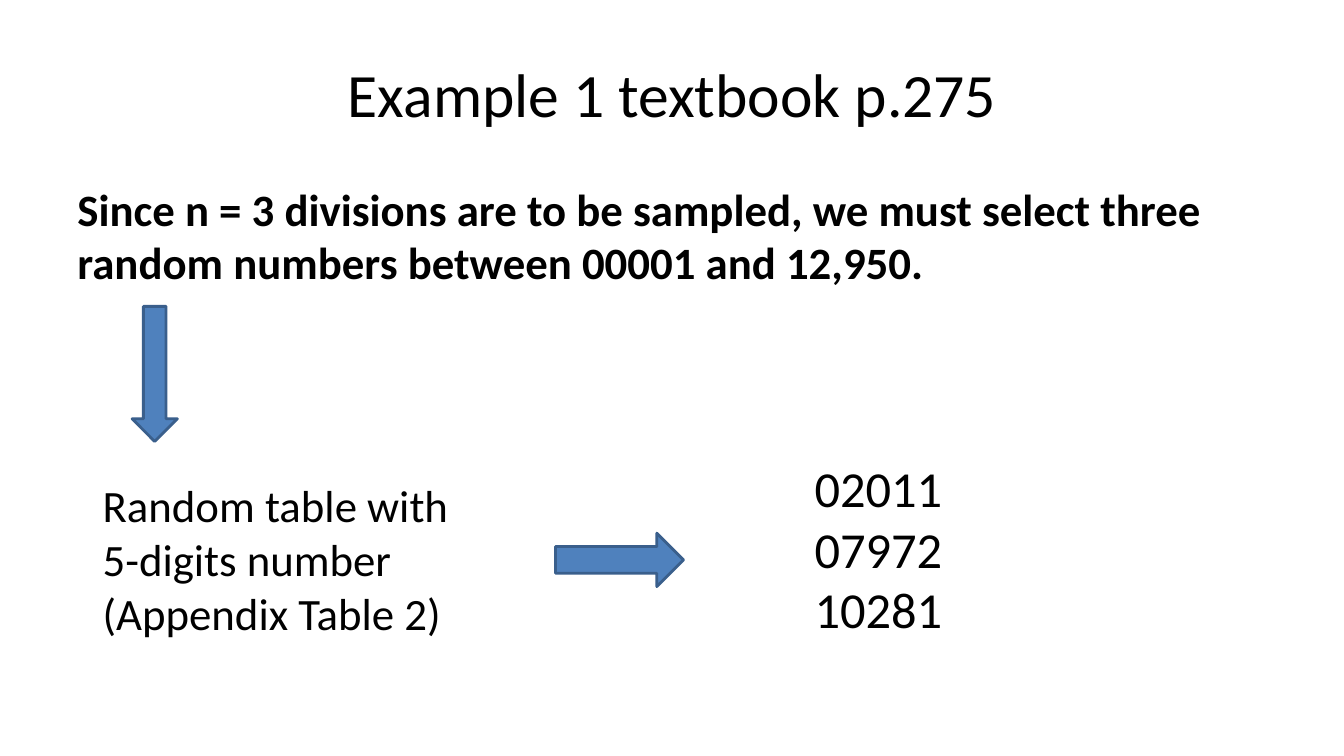
from dataclasses import dataclass

from pptx import Presentation
from pptx.dml.color import RGBColor
from pptx.enum.shapes import MSO_SHAPE
from pptx.enum.text import MSO_ANCHOR, MSO_AUTO_SIZE, PP_ALIGN
from pptx.util import Inches, Pt


@dataclass(frozen=True)
class Theme:
    font: str = "Calibri"
    text: RGBColor = RGBColor(0x00, 0x00, 0x00)
    arrow_fill: RGBColor = RGBColor(0x4F, 0x81, 0xBD)
    arrow_line: RGBColor = RGBColor(0x3A, 0x5F, 0x8C)
    title_size: int = 44
    body_size: int = 32
    numbers_size: int = 36
    line_width: int = 2


class SlideBuilder:
    def __init__(self, slide, theme):
        self.slide = slide
        self.theme = theme

    def text(self, lines, left, top, width, height, *, size, bold=False,
             align=PP_ALIGN.LEFT, anchor=MSO_ANCHOR.TOP, wrap=True):
        """Add a text box with one paragraph per line; unwrapped boxes fit their text."""
        sp = self.slide.shapes.add_textbox(
            Inches(left), Inches(top), Inches(width), Inches(height))
        tf = sp.text_frame
        tf.word_wrap = wrap
        tf.auto_size = MSO_AUTO_SIZE.NONE if wrap else MSO_AUTO_SIZE.SHAPE_TO_FIT_TEXT
        tf.vertical_anchor = anchor
        for i, line in enumerate(lines):
            p = tf.add_paragraph() if i else tf.paragraphs[0]
            p.alignment = align
            r = p.add_run()
            r.text = line
            r.font.name = self.theme.font
            r.font.size = Pt(size)
            r.font.bold = bold
            r.font.color.rgb = self.theme.text

    def arrow(self, kind, left, top, width, height):
        sp = self.slide.shapes.add_shape(
            kind, Inches(left), Inches(top), Inches(width), Inches(height))
        sp.shadow.inherit = False
        sp.fill.solid()
        sp.fill.fore_color.rgb = self.theme.arrow_fill
        sp.line.color.rgb = self.theme.arrow_line
        sp.line.width = Pt(self.theme.line_width)


def main():
    prs = Presentation()
    prs.slide_width, prs.slide_height = Inches(13.33), Inches(7.5)
    theme = Theme()
    s = SlideBuilder(prs.slides.add_slide(prs.slide_layouts[6]), theme)

    s.text(["Example 1 textbook p.275"], 0.67, 0.3, 12, 1.25,
           size=theme.title_size, align=PP_ALIGN.CENTER, anchor=MSO_ANCHOR.MIDDLE)
    s.text(["Since n = 3 divisions are to be sampled, we must select three "
            "random numbers between 00001 and 12,950."],
           0.67, 1.75, 12, 4.95, size=theme.body_size, bold=True)
    s.arrow(MSO_SHAPE.DOWN_ARROW, 1.31, 3.04, 0.45, 1.34)
    s.text(["Random table with", "5-digits number", "(Appendix Table 2)"],
           0.92, 4.69, 3.77, 1.72, size=theme.body_size, wrap=False)
    s.arrow(MSO_SHAPE.RIGHT_ARROW, 5.51, 5.29, 1.27, 0.53)
    s.text(["02011", "07972", "10281"],
           7.98, 4.49, 1.48, 1.92, size=theme.numbers_size, wrap=False)

    prs.save("out.pptx")


if __name__ == "__main__":
    main()
